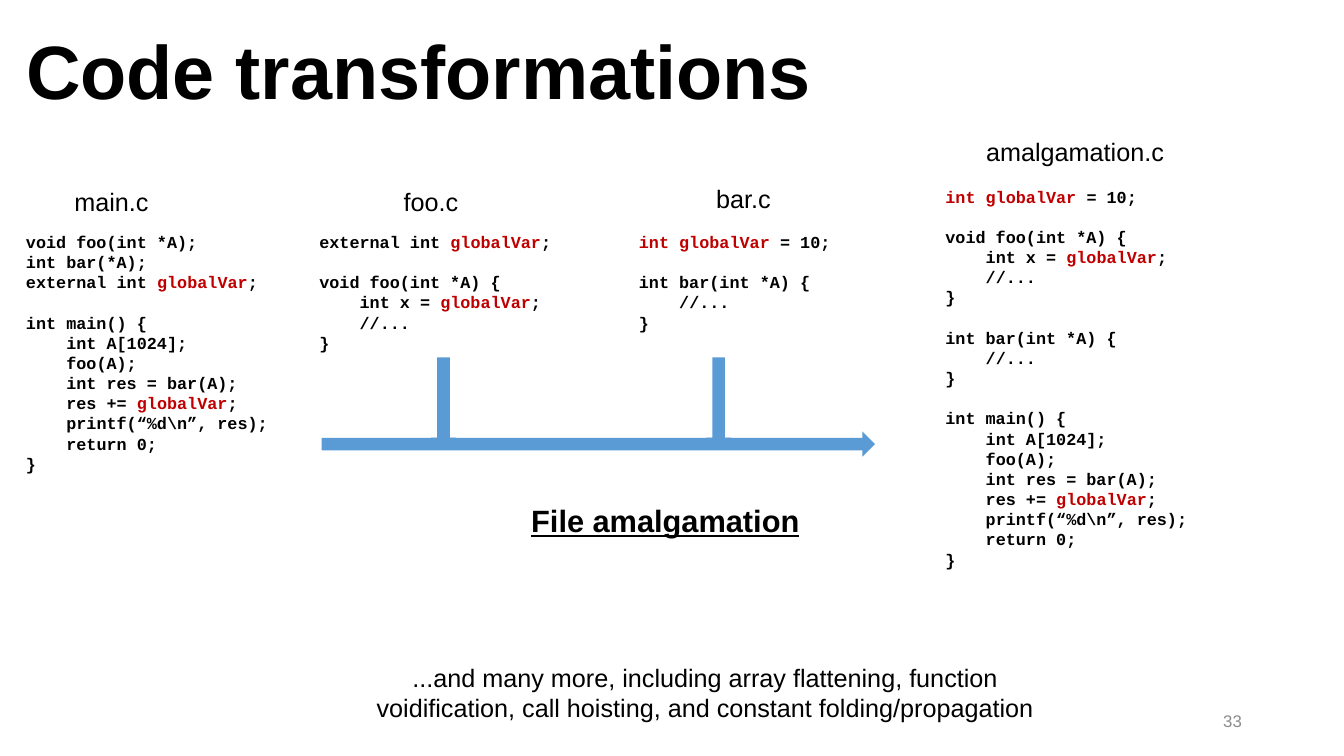
from pptx import Presentation
from pptx.dml.color import RGBColor
from pptx.enum.shapes import MSO_SHAPE as Shape
from pptx.enum.text import MSO_ANCHOR as Anchor, PP_ALIGN as Align
from pptx.util import Pt

COLORS = {"text": "000000", "global": "C00000", "arrow": "5B9BD5", "number": "8C8C8C"}

# Code blocks: parts between bars are highlighted
global_definition = ["|int globalVar| = 10;"]
global_declaration = "external int |globalVar|;"
foo_function = ["void foo(int *A) {", "    int x = |globalVar|;", "    //...", "}"]
bar_function = ["int bar(int *A) {", "    //...", "}"]
main_function = [
    "int main() {",
    "    int A[1024];",
    "    foo(A);",
    "    int res = bar(A);",
    "    res += |globalVar|;",
    "    printf(“%d\\n”, res);",
    "    return 0;",
    "}",
]
main_header = ["void foo(int *A);", "int bar(*A);", global_declaration]

# Files: name, name box (left, top, width), code box (left, top, width, height), blocks
FILES = [
    ("main.c", (23.8, 129.6, 111.6), (11.5, 162, 187.2, 180), [main_header, main_function]),
    ("foo.c", (252, 129.6, 111.6), (221, 162, 190.8, 93.6),
     [[global_declaration], foo_function]),
    ("bar.c", (475.2, 127.4, 111.6), (449.3, 162, 162.7, 79.2),
     [global_definition, bar_function]),
    ("amalgamation.c", (684.7, 93.6, 166.3), (668.2, 129.6, 198.7, 280.8),
     [global_definition, foo_function, bar_function, main_function]),
]

# Other text: wording, box, size, bold, alignment, anchor, colour
TITLE = ("Code transformations", (11.5, 17.3, 622.8, 68.4), 54, True,
         Align.LEFT, Anchor.BOTTOM, "text")
CAPTION = ("File amalgamation", (355, 355, 240.5, 33.8), 22, True,
           Align.CENTER, Anchor.TOP, "text")
CLOSING = ("...and many more, including array flattening, function voidification, "
           "call hoisting, and constant folding/propagation",
           (251.3, 469.4, 504.7, 50.4), 18, False, Align.CENTER, Anchor.TOP, "text")
PAGE = ("33", (678.2, 500.4, 216, 28.8), 12, False, Align.RIGHT, Anchor.MIDDLE, "number")

# Arrows: box, rotation, head length ratio
ARROW_WIDTH = 18
ARROWS = [((229.7, 308.2, 395.3, ARROW_WIDTH), 0, 0.5)] + [
    ((left, 277.2, 61.9, ARROW_WIDTH), 90, 0.253) for left in (482.4, 285.8)
]

CODE_SIZE, CHAR_WIDTH, LINE_HEIGHT = 12, 7.2, 14.4


def rgb(name):
    return RGBColor.from_string(COLORS[name])


def add_frame(slide, box):
    frame = slide.shapes.add_textbox(*map(Pt, box)).text_frame
    frame.word_wrap = True
    return frame


def add_text(slide, wording, box, size, bold, align, anchor, color):
    frame = add_frame(slide, box)
    frame.vertical_anchor = anchor
    line = frame.paragraphs[0]
    line.text, line.alignment = wording, align
    font = line.font
    font.name, font.size, font.bold = "Arial", Pt(size), bold
    font.color.rgb = rgb(color)
    return line


def add_code(slide, box, blocks):
    frame = add_frame(slide, box)
    frame.margin_right = 0
    for b, block in enumerate(blocks):
        for i, code in enumerate(block):
            line = frame.add_paragraph() if b or i else frame.paragraphs[0]
            line.font.name, line.font.size, line.font.bold = "Courier New", Pt(CODE_SIZE), True
            if b and not i:
                line.space_before = Pt(LINE_HEIGHT)
            statement = code.lstrip()
            indent = Pt((len(code) - len(statement)) * CHAR_WIDTH)
            if indent:
                line._p.get_or_add_pPr().set("marL", str(indent))
            for n, part in enumerate(statement.split("|")):
                if part:
                    run = line.add_run()
                    run.text = part
                    run.font.color.rgb = rgb("global" if n % 2 else "text")


def add_arrow(slide, box, rotation, head):
    arrow = slide.shapes.add_shape(Shape.RIGHT_ARROW, *map(Pt, box))
    arrow.rotation = rotation
    arrow.adjustments[1] = head
    arrow.shadow.inherit = False
    arrow.fill.solid()
    arrow.fill.fore_color.rgb = rgb("arrow")
    arrow.line.fill.background()


def main():
    deck = Presentation()
    deck.slide_width, deck.slide_height = Pt(960), Pt(540)
    slide = deck.slides.add_slide(deck.slide_layouts[6])

    add_text(slide, *TITLE)

    # Source files and the merged file
    for name, label, box, blocks in FILES:
        add_text(slide, name, (*label, 28.8), 18, False, Align.CENTER, Anchor.TOP, "text")
        add_code(slide, box, blocks)

    # Flow into the merged file
    for arrow in ARROWS:
        add_arrow(slide, *arrow)
    add_text(slide, *CAPTION).font.underline = True

    # Closing remark and page number
    add_text(slide, *CLOSING)
    add_text(slide, *PAGE)

    deck.save("out.pptx")


if __name__ == "__main__":
    main()
